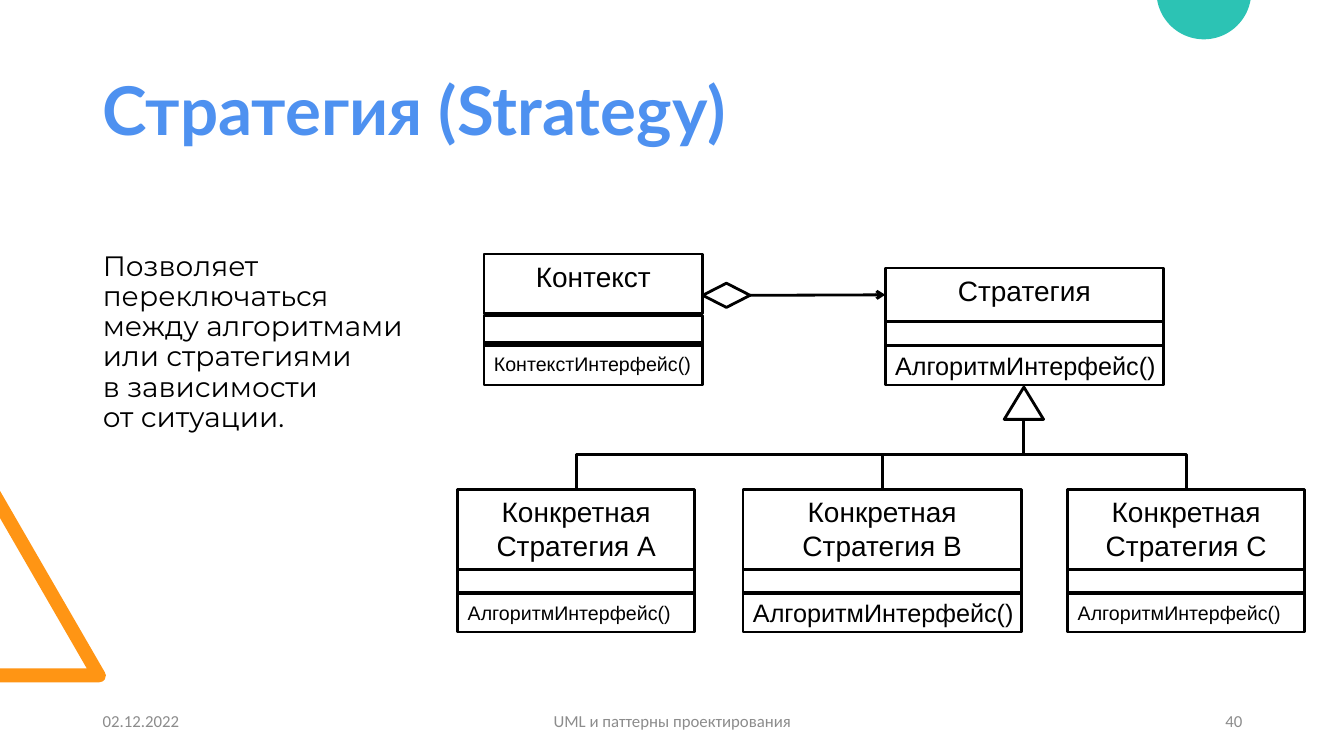
import math

import pptx
import pptx.dml.color
import pptx.enum.shapes
import pptx.enum.text
import pptx.oxml
import pptx.oxml.ns
import pptx.util
from pptx.util import Inches

RGBColor = pptx.dml.color.RGBColor
MSO_SHAPE = pptx.enum.shapes.MSO_SHAPE
MSO_CONNECTOR = pptx.enum.shapes.MSO_CONNECTOR
PP_ALIGN = pptx.enum.text.PP_ALIGN
MSO_ANCHOR = pptx.enum.text.MSO_ANCHOR

BLACK = RGBColor(0x00, 0x00, 0x00)
WHITE = RGBColor(0xFF, 0xFF, 0xFF)
BLUE = RGBColor(0x4E, 0x91, 0xF0)
ORANGE = RGBColor(0xFF, 0x95, 0x14)
TEAL = RGBColor(0x2C, 0xC3, 0xB4)
GRAY = RGBColor(0x8C, 0x8C, 0x8C)


def write(shape, text, font, size, color, align, anchor, wrap=True):
    frame = shape.text_frame
    frame.auto_size = pptx.enum.text.MSO_AUTO_SIZE.NONE
    frame.word_wrap = wrap
    frame.vertical_anchor = anchor
    frame.text = text
    paragraph = frame.paragraphs[0]
    paragraph.alignment = align
    for run in paragraph.runs:
        run.font.name = font
        run.font.size = pptx.util.Pt(size)
        run.font.color.rgb = color
    return paragraph


def outline(shape):
    shape.line.color.rgb = BLACK
    shape.line.width = pptx.util.Pt(2)
    if shape.shape_type == pptx.enum.shapes.MSO_SHAPE_TYPE.AUTO_SHAPE:
        shape.shadow.inherit = False
        shape.fill.background()
    else:
        shape._element.spPr.append(pptx.oxml.parse_xml(
            f'<a:effectLst {pptx.oxml.ns.nsdecls("a")}/>'))


presentation = pptx.Presentation()
presentation.slide_width = Inches(13.33)
presentation.slide_height = Inches(7.5)
slide = presentation.slides.add_slide(presentation.slide_layouts[1])
shapes = slide.shapes

triangle_points = [(0, 6.77), (0, 6.63), (0.86, 6.63), (0, 5.14), (0, 4.87), (1.04, 6.67),
                   (1.05, 6.7), (1.04, 6.74), (1.02, 6.76), (0.98, 6.77)]
radius, rise = 0.47, 0.08
start = math.asin(rise / radius)
angles = [start + (math.pi - 2 * start) * step / 40 for step in range(41)]
circle_points = [(11.94 + radius * math.cos(angle), radius * math.sin(angle) - rise)
                 for angle in angles]
for points, color in [(triangle_points, ORANGE), (circle_points, TEAL)]:
    corners = [(Inches(x), Inches(y)) for x, y in points]
    builder = shapes.build_freeform(*corners[0])
    builder.add_line_segments(corners[1:], close=True)
    ornament = builder.convert_to_shape()
    ornament.shadow.inherit = False
    ornament.fill.solid()
    ornament.fill.fore_color.rgb = color
    ornament.line.fill.background()

title = shapes.title
title.left, title.top, title.width, title.height = map(Inches, (0.92, 0.4, 11.5, 1.45))
heading = write(title, "Стратегия (Strategy)", "Lato", 48, BLUE, PP_ALIGN.LEFT, MSO_ANCHOR.MIDDLE)
heading.line_spacing = 0.9
heading.runs[0].font.bold = True

summary = slide.placeholders[1]
summary.left, summary.top, summary.width, summary.height = map(Inches, (0.92, 2.45, 3.39, 4.31))
description = write(
    summary,
    "Позволяет переключаться между алгоритмами или стратегиями\vв зависимости\vот ситуации.",
    "Montserrat", 20, BLACK, PP_ALIGN.LEFT, MSO_ANCHOR.TOP)
bullet_properties = description._p.get_or_add_pPr()
bullet_properties.set("marL", "0")
bullet_properties.set("indent", "0")
bullet_properties.append(pptx.oxml.parse_xml(f'<a:buNone {pptx.oxml.ns.nsdecls("a")}/>'))
description.line_spacing = 0.9
description.space_before = pptx.util.Pt(0)

for text, left, width, align in [
    ("02.12.2022", 0.92, 3, PP_ALIGN.LEFT),
    ("UML и паттерны проектирования", 4.42, 4.5, PP_ALIGN.CENTER),
    ("40", 9.42, 3, PP_ALIGN.RIGHT),
]:
    footer = shapes.add_textbox(Inches(left), Inches(6.95), Inches(width), Inches(0.4))
    write(footer, text, "Calibri", 12, GRAY, align, MSO_ANCHOR.MIDDLE)

context_rows = [(2.52, 0.59), (3.13, 0.3), (3.4, 0.42)]
strategy_rows = [(2.66, 0.53), (3.19, 0.24), (3.43, 0.39)]
concrete_rows = [(4.86, 0.79), (5.65, 0.24), (5.88, 0.39)]
class_headers = []
for name, method, method_size, left, width, rows in [
    ("Контекст", "КонтекстИнтерфейс()", 14, 4.8, 2.17, context_rows),
    ("Стратегия", "АлгоритмИнтерфейс()", 18, 8.78, 2.76, strategy_rows),
    ("Конкретная Стратегия А", "АлгоритмИнтерфейс()", 14, 4.54, 2.35, concrete_rows),
    ("Конкретная Стратегия В", "АлгоритмИнтерфейс()", 18, 7.37, 2.76, concrete_rows),
    ("Конкретная Стратегия С", "АлгоритмИнтерфейс()", 14, 10.59, 2.35, concrete_rows),
]:
    compartments = []
    for top, height in rows:
        compartment = shapes.add_shape(
            MSO_SHAPE.RECTANGLE, Inches(left), Inches(top), Inches(width), Inches(height))
        outline(compartment)
        compartments.append(compartment)
    header, attributes, methods = compartments
    header.fill.solid()
    header.fill.fore_color.rgb = WHITE
    write(header, name, "Arial", 20, BLACK, PP_ALIGN.CENTER, MSO_ANCHOR.TOP)
    write(methods, method, "Arial", method_size, BLACK, PP_ALIGN.LEFT, MSO_ANCHOR.MIDDLE, False)
    class_headers.append(header)
context, strategy, *concrete_strategies = class_headers

inheritance = shapes.add_shape(
    MSO_SHAPE.ISOSCELES_TRIANGLE, Inches(9.96), Inches(3.84), Inches(0.39), Inches(0.32))
outline(inheritance)
aggregation = shapes.add_shape(
    MSO_SHAPE.DIAMOND, Inches(6.97), Inches(2.81), Inches(0.47), Inches(0.24))
outline(aggregation)

association = shapes.add_connector(MSO_CONNECTOR.STRAIGHT, 0, 0, 0, 0)
association.begin_connect(aggregation, 3)
association.end_connect(strategy, 1)
outline(association)
association.line._get_or_add_ln().append(pptx.oxml.parse_xml(
    f'<a:tailEnd {pptx.oxml.ns.nsdecls("a")} type="arrow"/>'))

parent_x = inheritance.left + inheritance.width // 2
parent_y = inheritance.top + inheritance.height
for concrete in concrete_strategies:
    child_x = concrete.left + concrete.width // 2
    center_x, center_y = (parent_x + child_x) // 2, (parent_y + concrete.top) // 2
    half_drop = (concrete.top - parent_y) // 2
    half_span = abs(child_x - parent_x) // 2
    side = 1 if child_x > parent_x else -1
    branch = shapes.add_connector(
        MSO_CONNECTOR.ELBOW, center_x + side * half_drop, center_y - half_span,
        center_x - side * half_drop, center_y + half_span)
    branch._element.spPr.xfrm.set("rot", "16200000" if side == 1 else "5400000")
    outline(branch)

presentation.save("out.pptx")
